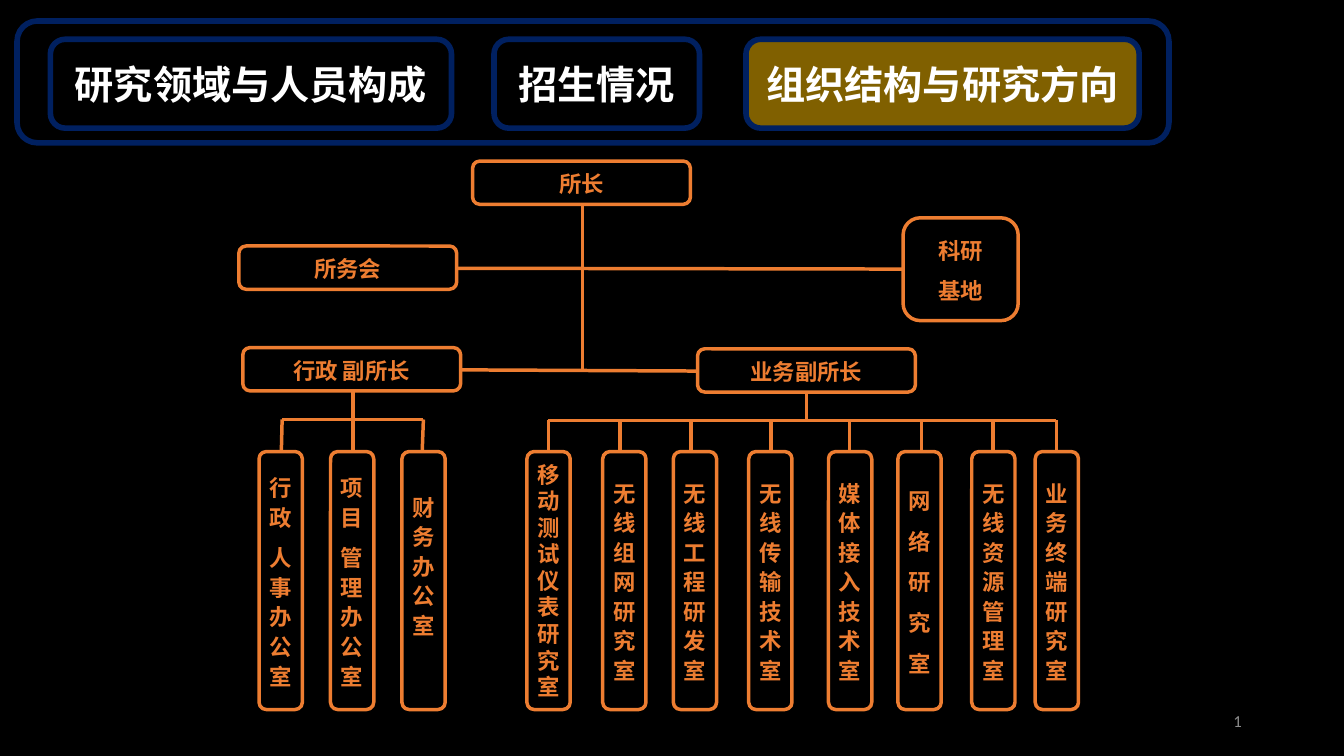
from dataclasses import dataclass
from pptx import Presentation
from pptx.dml.color import RGBColor as Rgb
from pptx.enum.shapes import MSO_CONNECTOR as Link, MSO_SHAPE as Shape
from pptx.enum.text import MSO_ANCHOR as Anchor, PP_ALIGN as Align
from pptx.oxml import parse_xml
from pptx.oxml.ns import nsdecls, qn
from pptx.util import Cm, Pt


@dataclass(frozen=True)
class Theme:
    back: str = "000000"
    chart: str = "ED7D31"
    frame: str = "002060"
    active: str = "FFC000"
    active_alpha: int = 50000
    title: str = "FFFFFF"
    number: str = "8C8C8C"
    cjk: str = "Noto Sans CJK SC"
    latin: str = "Calibri"
    tab_size: int = 28
    node_size: int = 16
    number_size: int = 12
    chart_line: float = 2.5
    frame_line: float = 4


def assign(target, values):
    for name, value in values.items():
        setattr(target, name, value)


class OrgSlide:
    def __init__(self, slide, theme):
        self.slide, self.theme = slide, theme
        fill = slide.background.fill
        fill.solid()
        fill.fore_color.rgb = Rgb.from_string(theme.back)

    def box(self, kind, area, color, width):
        shape = self.slide.shapes.add_shape(kind, *map(Cm, area))
        shape.shadow.inherit = False
        shape.fill.background()
        shape.line.color.rgb = Rgb.from_string(color)
        shape.line.width = Pt(width)
        return shape

    def label(self, shape, lines, size, color, para=None, **frame):
        text = shape.text_frame
        assign(text, {"word_wrap": True, "vertical_anchor": Anchor.MIDDLE, **frame})
        for index, line in enumerate(lines):
            paragraph = text.add_paragraph() if index else text.paragraphs[0]
            assign(paragraph, {"alignment": Align.CENTER, **(para or {})})
            if index and para:
                paragraph.space_before = Pt(8)
            run = paragraph.add_run()
            run.text = line
            assign(run.font, {"name": self.theme.cjk, "size": Pt(size), "bold": True})
            run.font.color.rgb = Rgb.from_string(color)
            east_asian = parse_xml(f'<a:ea {nsdecls("a")} typeface="{self.theme.cjk}"/>')
            run.font._element.find(qn("a:latin")).addnext(east_asian)

    def node(self, lines, area, kind=Shape.ROUNDED_RECTANGLE, pitch=21.1, **frame):
        t = self.theme
        shape = self.box(kind, area, t.chart, t.chart_line)
        self.label(shape, lines, t.node_size, t.chart, {"line_spacing": Pt(pitch)},
                   margin_left=Cm(0.13), margin_right=Cm(0.13), **frame)

    def link(self, x1, y1, x2, y2):
        line = self.slide.shapes.add_connector(Link.STRAIGHT, *map(Cm, (x1, y1, x2, y2)))
        line.line.color.rgb = Rgb.from_string(self.theme.chart)
        line.line.width = Pt(self.theme.chart_line)
        line._element.spPr.append(parse_xml(f'<a:effectLst {nsdecls("a")}/>'))

    def tab(self, title, area, active=False):
        t = self.theme
        shape = self.box(Shape.ROUNDED_RECTANGLE, area, t.frame, t.frame_line)
        if active:
            shape.fill.solid()
            shape.fill.fore_color.rgb = Rgb.from_string(t.active)
            tint = shape._element.spPr.find(qn("a:solidFill"))[0]
            tint.append(parse_xml(f'<a:alpha {nsdecls("a")} val="{t.active_alpha}"/>'))
        if title:
            self.label(shape, [title], t.tab_size, t.title)

    def page_number(self, number, area):
        t = self.theme
        text = self.slide.shapes.add_textbox(*map(Cm, area)).text_frame
        assign(text, {"word_wrap": True, "vertical_anchor": Anchor.MIDDLE})
        paragraph = text.paragraphs[0]
        paragraph.alignment = Align.RIGHT
        paragraph._p.append(parse_xml(
            f'<a:fld {nsdecls("a")} id="{{B6F15528-21DE-4FAA-801E-634DDDAF4B2B}}" type="slidenum">'
            f'<a:rPr lang="zh-CN" sz="{t.number_size * 100}"><a:solidFill>'
            f'<a:srgbClr val="{t.number}"/></a:solidFill><a:latin typeface="{t.latin}"/></a:rPr>'
            f'<a:t>{number}</a:t></a:fld>'))


LEADERS = [("所长", 11.91, 4.06), ("行政 副所长", 6.12, 8.76),
           ("所务会", 6.02, 6.2), ("业务副所长", 17.58, 8.79)]
OFFICES = [["行政", "人事办公室"], ["项目", "管理办公室"], ["财务办公室"]]
# Lines of text, left edge of the box, position of the stem above it
LABS = [(["移动测试仪表研究室"], 13.28, 13.82), (["无线组网研究室"], 15.19, 15.62),
        (["无线工程研发室"], 16.97, 17.42), (["无线传输技术室"], 18.87, 19.43),
        (["媒体接入技术室"], 20.88, 21.41), (list("网络研究室"), 22.63, 23.22),
        (["无线资源管理室"], 24.49, 25.02), (["业务终端研究室"], 26.09, 26.62)]
TABS = [("研究领域与人员构成", 1.27, 10.11), ("招生情况", 12.45, 5.18),
        ("组织结构与研究方向", 18.8, 9.91)]
UNIT_TOP, UNIT_WIDTH, UNIT_HEIGHT = 11.38, 1.09, 6.5
OFFICE_BAR, LAB_BAR = 10.57, 10.59


def main():
    deck = Presentation()
    assign(deck, {"slide_width": Cm(33.87), "slide_height": Cm(19.05)})
    org = OrgSlide(deck.slides.add_slide(deck.slide_layouts[6]), Theme())

    # Leadership
    for name, left, top in LEADERS:
        org.node([name], (left, top, 5.49, 1.09), Shape.FLOWCHART_ALTERNATE_PROCESS)
    org.node(["科研", "基地"], (22.76, 5.49, 2.9, 2.59))
    for ends in [(11.53, 6.76, 22.76, 6.78), (11.63, 9.32, 17.58, 9.35),
                 (14.68, 5.16, 14.68, 9.35)]:
        org.link(*ends)

    # Administrative offices
    for index, office in enumerate(OFFICES):
        extra = {"margin_bottom": Cm(0.9)} if len(office) == 1 else {}
        org.node(office, (6.53 + 1.8 * index, UNIT_TOP, UNIT_WIDTH, UNIT_HEIGHT), **extra)
    org.link(7.11, OFFICE_BAR, 10.67, OFFICE_BAR)
    for x1, y1, x2 in [(7.11, OFFICE_BAR, 7.09), (8.89, 9.88, 8.89), (10.67, OFFICE_BAR, 10.64)]:
        org.link(x1, y1, x2, UNIT_TOP)

    # Research labs
    for lab, left, stem in LABS:
        pitch = 19 if len(lab[0]) > 7 else 21.1
        org.node(lab, (left, UNIT_TOP, UNIT_WIDTH, UNIT_HEIGHT), pitch=pitch)
        org.link(stem, LAB_BAR, stem, UNIT_TOP)
    org.link(LABS[0][2], LAB_BAR, LABS[-1][2], LAB_BAR)
    org.link(20.32, 9.9, 20.32, LAB_BAR)

    # Navigation tabs, the last one active
    org.tab("", (0.43, 0.53, 29.03, 3.07))
    for title, left, width in TABS:
        org.tab(title, (left, 0.99, width, 2.24), active=title == TABS[-1][0])

    # Page number
    org.page_number(6, (23.93, 17.65, 7.62, 1.02))
    deck.save("out.pptx")


if __name__ == "__main__":
    main()
